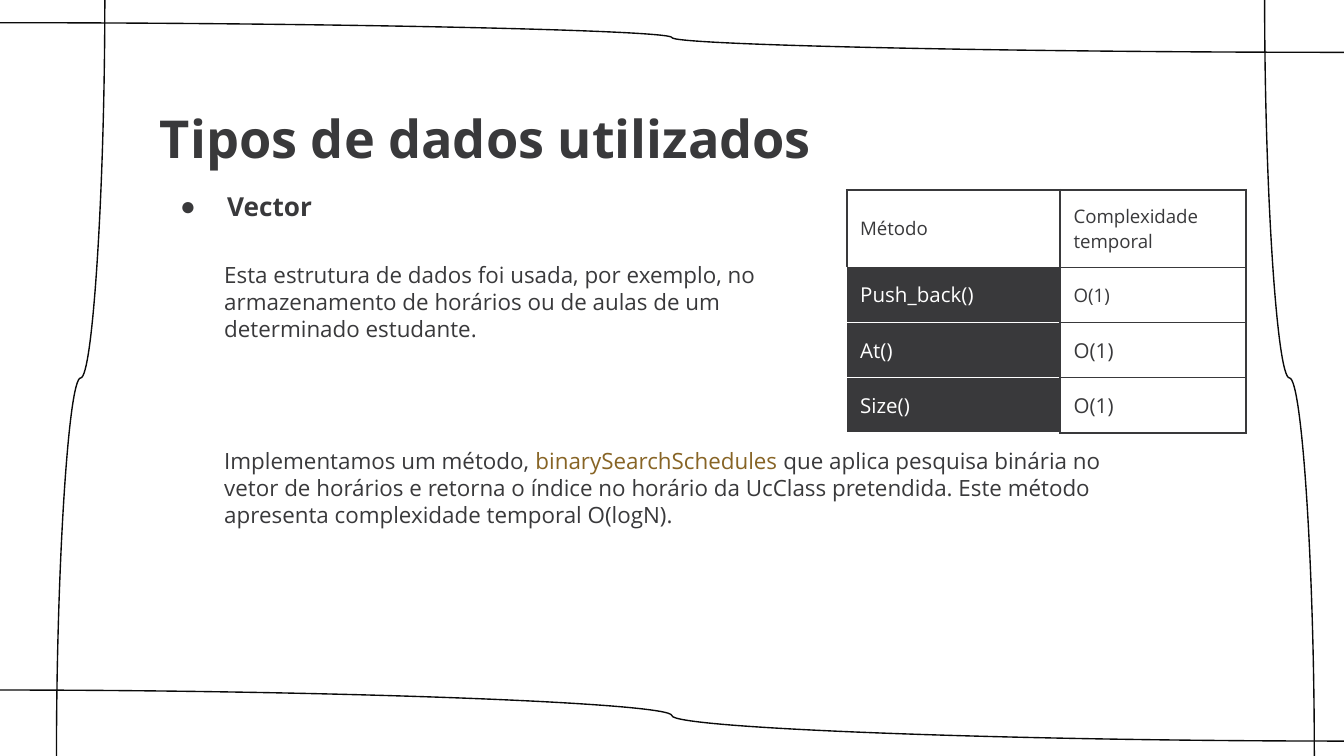
from dataclasses import dataclass
from math import cos, radians, sin

from lxml.etree import SubElement
from pptx import Presentation
from pptx.dml.color import RGBColor
from pptx.enum.shapes import MSO_CONNECTOR
from pptx.enum.text import MSO_ANCHOR, MSO_AUTO_SIZE, PP_ALIGN
from pptx.oxml.ns import qn
from pptx.util import Inches, Pt


@dataclass(frozen=True)
class Theme:
    font: str = "Open Sans"
    dark: str = "39393B"
    light: str = "FFFFFF"
    accent: str = "876425"
    frame: str = "0A0A0A"
    title: int = 28
    heading: int = 14
    body: int = 12
    table: int = 11
    table_small: int = 10


THEME = Theme()
WIDTH = 10
HEIGHT = WIDTH * 9 / 16

# Positions are percentages of the slide: left, top, width, height.
TITLE = ("Tipos de dados utilizados", (10.9, 13.5, 52.1, 9.4))
HEADING = ("Vector", (10.9, 24, 47.1, 6.6))
PARAGRAPHS = [
    ([("Esta estrutura de dados foi usada, por exemplo, no armazenamento de horários "
       "ou de aulas de um determinado estudante.", THEME.dark)],
     (15.7, 31.6, 43.9, 16.5)),
    ([("Implementamos um método, ", THEME.dark),
      ("binarySearchSchedules ", THEME.accent),
      ("que aplica pesquisa binária no vetor de horários e retorna o índice no horário "
       "da UcClass pretendida. Este método apresenta complexidade temporal O(logN).",
       THEME.dark)],
     (15.7, 56.2, 68.5, 16.5)),
]
TABLE_ROWS = [
    ("Método", "Complexidade temporal"),
    ("Push_back()", "O(1)"),
    ("At()", "O(1)"),
    ("Size()", "O(1)"),
]
TABLE_BOX = (63, 25.1, 29.7, 32)
COLUMN_SHARES = (0.535, 0.465)
ROW_SHARES = (0.316, 0.228, 0.228, 0.228)
SMALL_CELLS = {(0, 0), (0, 1), (1, 1)}

# Begin point, end point (percentages) and rotation in degrees.
FRAME_CURVES = [
    ((100.4, 6.94), (-0.4, 3.02), 0),
    ((94.1, 0), (97.8, 100), 270),
    ((100.3, 98.04), (-0.3, 91.28), 0),
    ((7.8, 0), (4.2, 100), 90),
]


def place(x, y):
    return x * WIDTH / 100, y * HEIGHT / 100


def box_lengths(box):
    return [Inches(length) for length in (*place(*box[:2]), *place(*box[2:]))]


def add_run(paragraph, text, size, color=THEME.dark, bold=False):
    run = paragraph.add_run()
    run.text = text
    for name, value in {"name": THEME.font, "size": Pt(size), "bold": bold}.items():
        setattr(run.font, name, value)
    run.font.color.rgb = RGBColor.from_string(color)


def set_margins(target):
    for side in ("left", "top", "right", "bottom"):
        setattr(target, f"margin_{side}", Inches(0.1))


def prepare_text(shape, box):
    """Place a text shape and return its first paragraph."""
    shape.left, shape.top, shape.width, shape.height = box_lengths(box)
    frame = shape.text_frame
    set_margins(frame)
    settings = {"word_wrap": True, "auto_size": MSO_AUTO_SIZE.NONE,
                "vertical_anchor": MSO_ANCHOR.MIDDLE}
    for name, value in settings.items():
        setattr(frame, name, value)
    paragraph = frame.paragraphs[0]
    paragraph.alignment = PP_ALIGN.LEFT
    paragraph.space_before = Pt(0)
    return paragraph


def add_bullet(paragraph):
    properties = paragraph._p.get_or_add_pPr()
    properties.set("marL", str(Inches(0.5)))
    properties.set("indent", str(Inches(-0.35)))
    color = SubElement(properties, qn("a:buClr"))
    SubElement(color, qn("a:srgbClr"), val=THEME.dark)
    SubElement(properties, qn("a:buChar"), char="●")


def add_frame_curve(slide, begin, end, rotation):
    """Turn both ends back about their centre, then rotate the drawn curve."""
    begin, end = place(*begin), place(*end)
    center = [(first + second) / 2 for first, second in zip(begin, end)]
    angle = radians(-rotation)
    ends = []
    for x, y in (begin, end):
        across, down = x - center[0], y - center[1]
        ends += [center[0] + across * cos(angle) - down * sin(angle),
                 center[1] + across * sin(angle) + down * cos(angle)]
    curve = slide.shapes.add_connector(MSO_CONNECTOR.CURVE, *map(Inches, ends))
    curve.line.color.rgb = RGBColor.from_string(THEME.frame)
    curve.line.width = Pt(0.75)
    properties = curve._element.spPr
    properties.find(qn("a:xfrm")).set("rot", str(rotation * 60000))
    SubElement(properties, qn("a:effectLst"))


def set_borders(cell, light_sides):
    properties = cell._tc.get_or_add_tcPr()
    for side in "LRTB":
        light = side in light_sides
        line = SubElement(properties, qn(f"a:ln{side}"), w=str(Pt(0.75 if light else 1)))
        fill = SubElement(line, qn("a:solidFill"))
        SubElement(fill, qn("a:srgbClr"), val=THEME.light if light else THEME.dark)


def add_method_table(slide):
    left, top, width, height = box_lengths(TABLE_BOX)
    table = slide.shapes.add_table(len(TABLE_ROWS), len(COLUMN_SHARES),
                                   left, top, width, height).table
    for column, share in zip(table.columns, COLUMN_SHARES):
        column.width = int(width * share)
    for row, share in zip(table.rows, ROW_SHARES):
        row.height = int(height * share)
    for row, texts in enumerate(TABLE_ROWS):
        for column, text in enumerate(texts):
            cell = table.cell(row, column)
            set_margins(cell)
            cell.vertical_anchor = MSO_ANCHOR.MIDDLE
            is_method = row > 0 and column == 0
            set_borders(cell, ("LB" if row == 1 else "LTB") if is_method else "")
            if is_method:
                cell.fill.solid()
                cell.fill.fore_color.rgb = RGBColor.from_string(THEME.dark)
            else:
                cell.fill.background()
            size = THEME.table_small if (row, column) in SMALL_CELLS else THEME.table
            add_run(cell.text_frame.paragraphs[0], text, size,
                    THEME.light if is_method else THEME.dark)


def main():
    presentation = Presentation()
    presentation.slide_width, presentation.slide_height = Inches(WIDTH), Inches(HEIGHT)
    slide = presentation.slides.add_slide(presentation.slide_layouts[1])
    slide.background.fill.solid()
    slide.background.fill.fore_color.rgb = RGBColor.from_string(THEME.light)

    for curve in FRAME_CURVES:
        add_frame_curve(slide, *curve)

    text, box = TITLE
    add_run(prepare_text(slide.shapes.title, box), text, THEME.title, bold=True)

    text, box = HEADING
    heading = prepare_text(slide.placeholders[1], box)
    add_bullet(heading)
    add_run(heading, text, THEME.heading, bold=True)

    for runs, box in PARAGRAPHS:
        paragraph = prepare_text(slide.shapes.add_textbox(*box_lengths(box)), box)
        paragraph.line_spacing = 1.0
        for text, color in runs:
            add_run(paragraph, text, THEME.body, color)

    add_method_table(slide)
    presentation.save("out.pptx")


if __name__ == "__main__":
    main()
